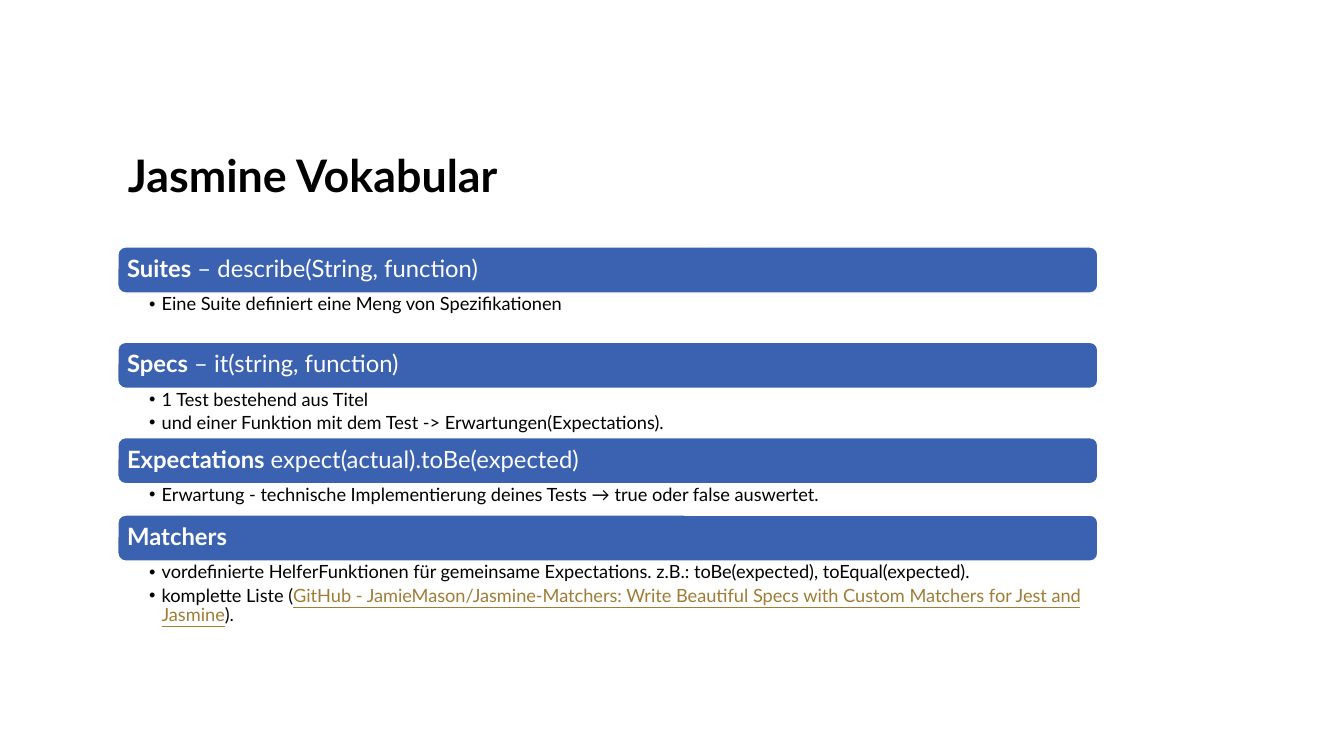
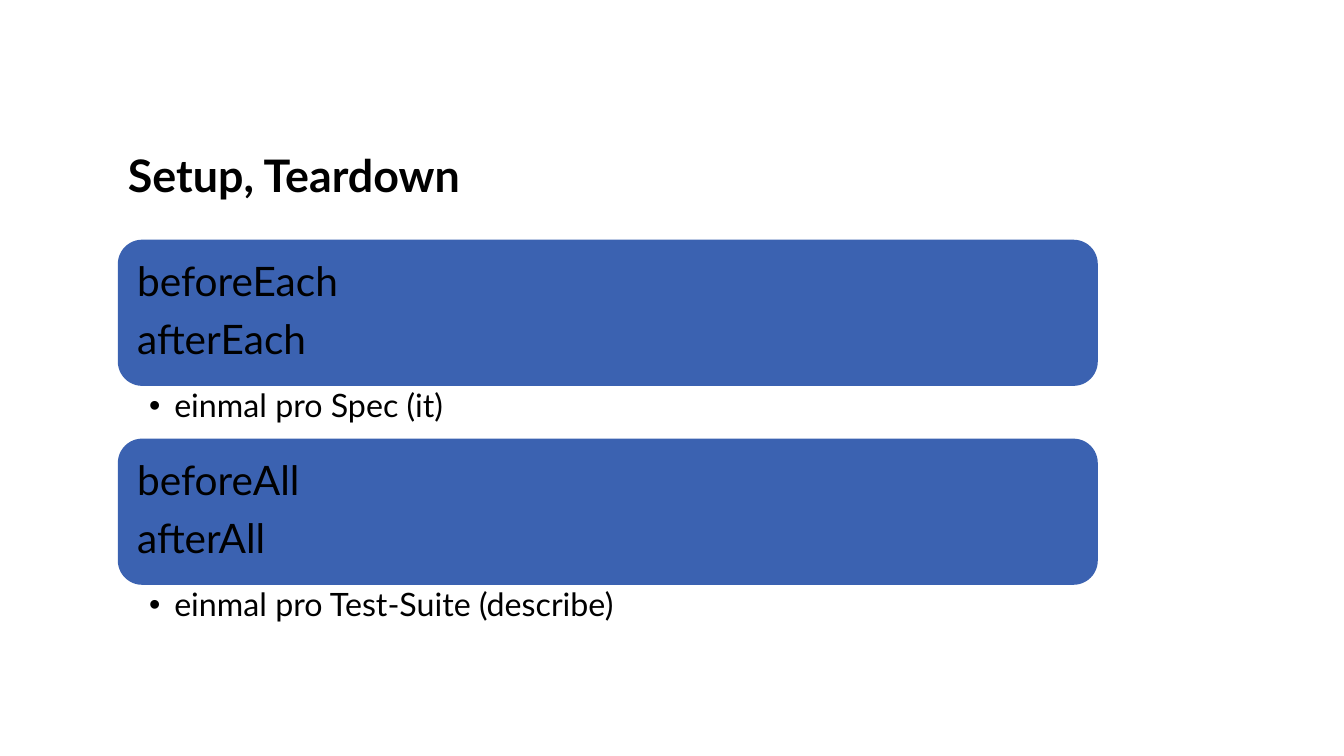
from dataclasses import dataclass

from lxml.etree import SubElement
from pptx import Presentation
from pptx.dml.color import RGBColor
from pptx.enum.shapes import MSO_SHAPE
from pptx.enum.text import MSO_ANCHOR, MSO_AUTO_SIZE, PP_ALIGN
from pptx.oxml.ns import qn
from pptx.util import Pt

# Shared look
FONT = "Lato"
HUES = {"band": "3B62B1", "white": "FFFFFF", "black": "000000", "link": "A07D35"}
LEFT, WIDTH = 84.2, 700


@dataclass
class Style:
    """Measures of one list, in points."""
    top: float
    band: float        # band height
    head: float        # band text size
    pad: float         # band text inset
    ink: str           # band text colour
    edge: bool         # white outline round the band
    note: float        # note text size
    hang: float        # bullet indent
    inset: tuple       # note insets: left, top, right, bottom


TERMS = Style(176.4, 32.9, 17, 5, "white", True, 13, 9, (22.3, 1.5, 9, 1.5))
HOOKS = Style(171.2, 104.4, 29, 8.7, "black", False, 23, 18, (22.3, 2.9, 16.4, 2.9))


def color(name):
    return RGBColor.from_string(HUES[name])


def add_run(para, text, size, ink="black", bold=False, line=False):
    run = para.add_run()
    run.text = text
    font = run.font
    font.name, font.size, font.bold, font.underline = FONT, Pt(size), bold, line
    font.color.rgb = color(ink)


def set_frame(frame, anchor, inset):
    frame.word_wrap = True
    frame.auto_size = MSO_AUTO_SIZE.NONE
    frame.vertical_anchor = anchor
    (frame.margin_left, frame.margin_top,
     frame.margin_right, frame.margin_bottom) = map(Pt, inset)


def add_bullet(para, hang):
    props = para._p.get_or_add_pPr()
    props.set("marL", str(Pt(hang)))
    props.set("indent", str(-Pt(hang)))
    SubElement(props, qn("a:buFont"), typeface="Arial")
    SubElement(props, qn("a:buChar"), char="•")


def fill_text(frame, paras, size, ink, after, hang=0):
    """Each paragraph is a list of (text, run options) pairs."""
    for i, runs in enumerate(paras):
        para = frame.add_paragraph() if i else frame.paragraphs[0]
        if hang:
            add_bullet(para, hang)
        para.alignment = PP_ALIGN.LEFT
        para.line_spacing = 0.9
        para.space_after = Pt(round(size * after, 1))
        for text, opts in runs:
            add_run(para, text, size, **{"ink": ink, **opts})


def add_title(deck, text):
    slide = deck.slides.add_slide(deck.slide_layouts[5])
    title = slide.shapes.title
    title.left, title.top = Pt(LEFT), Pt(73.4)
    title.width, title.height = Pt(WIDTH), Pt(75)
    set_frame(title.text_frame, MSO_ANCHOR.BOTTOM, (7.2, 3.6, 7.2, 3.6))
    fill_text(title.text_frame, [[(text, {"bold": True})]], 32, "black", 0)
    return slide


def add_band(slide, box, paras, style):
    shape = slide.shapes.add_shape(MSO_SHAPE.ROUNDED_RECTANGLE, *map(Pt, box))
    shape.shadow.inherit = False
    shape.fill.solid()
    shape.fill.fore_color.rgb = color("band")
    if style.edge:
        shape.line.color.rgb = color("white")
        shape.line.width = Pt(1)
    else:
        shape.line.fill.background()
    set_frame(shape.text_frame, MSO_ANCHOR.MIDDLE, [style.pad] * 4)
    fill_text(shape.text_frame, paras, style.head, style.ink, 0.35)


def add_notes(slide, box, paras, style):
    frame = slide.shapes.add_textbox(*map(Pt, box)).text_frame
    set_frame(frame, MSO_ANCHOR.TOP, style.inset)
    fill_text(frame, paras, style.note, "black", 0.2, style.hang)


def add_list(slide, style, rows):
    """Stack bands and their notes; a row is (band, notes, note height)."""
    top = style.top
    for band, notes, high in rows:
        add_band(slide, (LEFT, top, WIDTH, style.band), band, style)
        top += style.band
        add_notes(slide, (LEFT, top, WIDTH, high), notes, style)
        top += high


def plain(*lines):
    return [[(text, {})] for text in lines]


def term(name, rest=""):
    runs = [(name, {"bold": True})]
    return [runs + [(rest, {})] if rest else runs]


def build_terms(deck):
    slide = add_title(deck, "Jasmine Vokabular")
    source = [
        ("komplette Liste (", {}),
        ("GitHub - JamieMason/Jasmine-Matchers: Write Beautiful Specs with "
         "Custom Matchers for Jest and Jasmine", {"ink": "link", "line": True}),
        (").", {}),
    ]
    add_list(slide, TERMS, [
        (term("Suites", " – describe(String, function)"),
         plain("Eine Suite definiert eine Meng von Spezifikationen"), 35.2),
        (term("Specs", " – it(string, function)"),
         plain("1 Test bestehend aus Titel",
               "und einer Funktion mit dem Test -> Erwartungen(Expectations)."), 35.2),
        (term("Expectations ", "expect(actual).toBe(expected)"),
         plain("Erwartung - technische Implementierung deines Tests → "
               "true oder false auswertet."), 22.4),
        (term("Matchers"),
         plain("vordefinierte HelferFunktionen für gemeinsame Expectations. "
               "z.B.: toBe(expected), toEqual(expected).") + [source], 49.7),
    ])


def build_hooks(deck):
    slide = add_title(deck, "Setup, Teardown")
    add_list(slide, HOOKS, [
        (plain("beforeEach", "afterEach"), plain("einmal pro Spec (it)"), 37.7),
        (plain("beforeAll", "afterAll"),
         plain("einmal pro Test-Suite (describe)"), 37.7),
    ])


def main():
    deck = Presentation()
    deck.slide_width, deck.slide_height = Pt(960), Pt(540)
    build_terms(deck)
    build_hooks(deck)
    deck.save("out.pptx")


if __name__ == "__main__":
    main()
